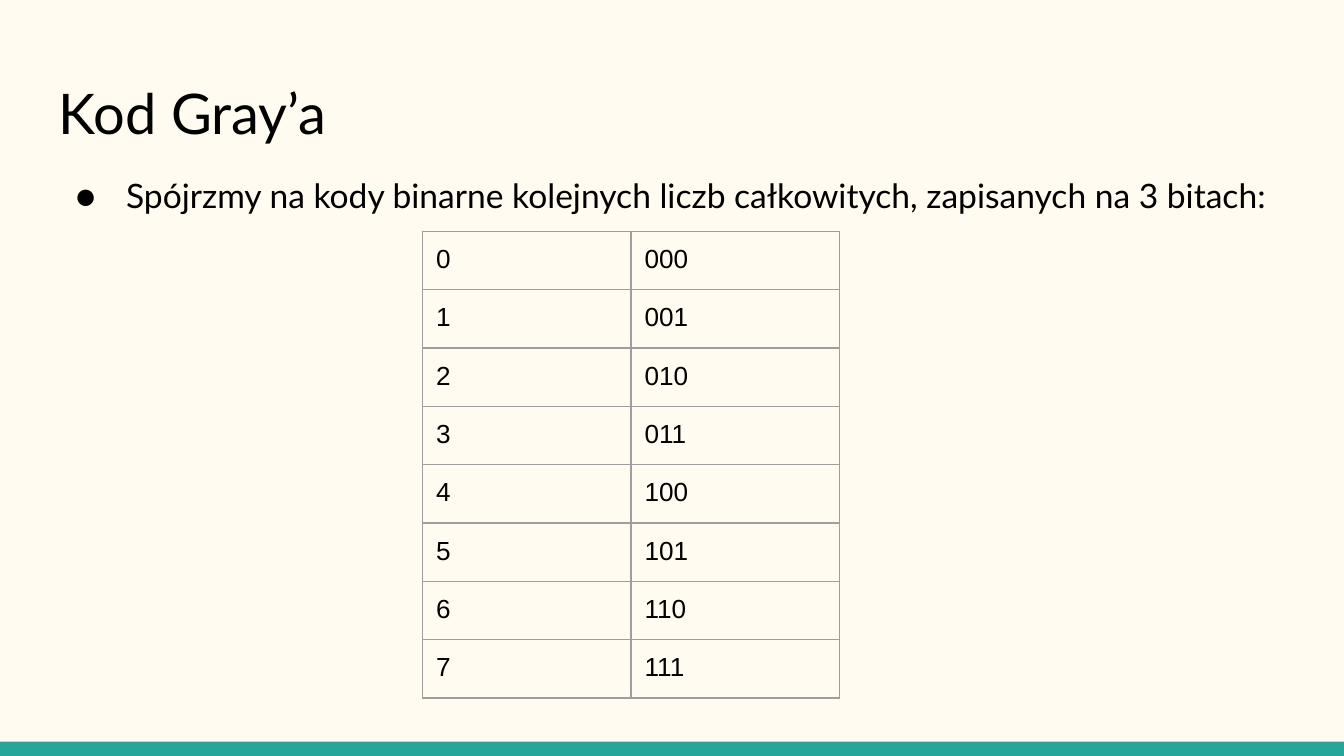
from lxml import etree
from pptx import Presentation
from pptx.dml.color import RGBColor
from pptx.enum.shapes import MSO_SHAPE
from pptx.oxml.ns import qn
from pptx.util import Pt

RECTANGLE = MSO_SHAPE.RECTANGLE
BLANK_LAYOUT = 6
WIDTH, HEIGHT = 720, 405
MARGIN, CONTENT_WIDTH = 24.5, 671
INSET = 7.2
BAR_HEIGHT = 7.7
BITS = 3


def color(hex_string):
    return RGBColor.from_string(hex_string)


def add_element(parent, tag, **attributes):
    element = etree.SubElement(parent, qn(tag))
    for name, value in attributes.items():
        element.set(name, str(value))
    return element


class SlideBuilder:
    background = "FFFBF0"
    accent = "26A69A"
    ink = "000000"
    grid = "9E9E9E"
    heading_font = "Lato"
    table_font = "Arial"

    def __init__(self, presentation):
        layout = presentation.slide_layouts[BLANK_LAYOUT]
        self.slide = presentation.slides.add_slide(layout)
        fill = self.slide.background.fill
        fill.solid()
        fill.fore_color.rgb = color(self.background)

    def bar(self, left, top, width, height):
        shape = self.slide.shapes.add_shape(
            RECTANGLE, Pt(left), Pt(top), Pt(width), Pt(height))
        shape.shadow.inherit = False
        shape.fill.solid()
        shape.fill.fore_color.rgb = color(self.accent)
        shape.line.fill.background()

    def run(self, paragraph, text, size, font):
        run = paragraph.add_run()
        run.text = text
        run.font.size = Pt(size)
        run.font.name = font
        run.font.color.rgb = color(self.ink)

    def set_insets(self, holder):
        """Give a text frame or a table cell the common margins."""
        holder.margin_left = holder.margin_right = Pt(INSET)
        holder.margin_top = holder.margin_bottom = Pt(INSET)

    def text(self, content, left, top, width, height, size):
        box = self.slide.shapes.add_textbox(
            Pt(left), Pt(top), Pt(width), Pt(height))
        frame = box.text_frame
        frame.word_wrap = True
        self.set_insets(frame)
        paragraph = frame.paragraphs[0]
        self.run(paragraph, content, size, self.heading_font)
        return paragraph

    def bullet(self, content, left, top, width, height, size):
        paragraph = self.text(content, left, top, width, height, size)
        paragraph.line_spacing = 1.15
        paragraph.space_after = Pt(16)
        properties = paragraph._p.get_or_add_pPr()
        properties.set("marL", str(Pt(36)))
        properties.set("indent", str(Pt(-27)))
        bullet_color = add_element(properties, "a:buClr")
        add_element(bullet_color, "a:srgbClr", val=self.ink)
        add_element(properties, "a:buFont", typeface=self.heading_font)
        add_element(properties, "a:buChar", char="●")

    def cell_borders(self, cell):
        properties = cell._tc.get_or_add_tcPr()
        for side in ("a:lnL", "a:lnR", "a:lnT", "a:lnB"):
            line = add_element(properties, side, w=Pt(0.75))
            fill = add_element(line, "a:solidFill")
            add_element(fill, "a:srgbClr", val=self.grid)

    def table(self, rows, left, top, column_width, row_height, size):
        column_count = len(rows[0])
        table = self.slide.shapes.add_table(
            len(rows), column_count, Pt(left), Pt(top),
            Pt(column_width * column_count), Pt(row_height * len(rows))).table
        table.first_row = table.horz_banding = False
        for column in table.columns:
            column.width = Pt(column_width)
        for row, values in zip(table.rows, rows):
            row.height = Pt(row_height)
            for cell, value in zip(row.cells, values):
                self.set_insets(cell)
                self.cell_borders(cell)
                cell.fill.background()
                paragraph = cell.text_frame.paragraphs[0]
                self.run(paragraph, value, size, self.table_font)


def main():
    presentation = Presentation()
    presentation.slide_width = Pt(WIDTH)
    presentation.slide_height = Pt(HEIGHT)

    builder = SlideBuilder(presentation)
    builder.bar(0, HEIGHT - BAR_HEIGHT, WIDTH, BAR_HEIGHT)
    builder.text("Kod Gray’a", MARGIN, 35, CONTENT_WIDTH, 48.5, 30)
    builder.bullet(
        "Spójrzmy na kody binarne kolejnych liczb całkowitych, "
        "zapisanych na 3 bitach:",
        MARGIN, 83.5, CONTENT_WIDTH, 268, 18)
    codes = [(str(number), f"{number:0{BITS}b}") for number in range(2 ** BITS)]
    builder.table(codes, 226.5, 124, 111.6, 30.1, 14)

    presentation.save("out.pptx")


if __name__ == "__main__":
    main()
